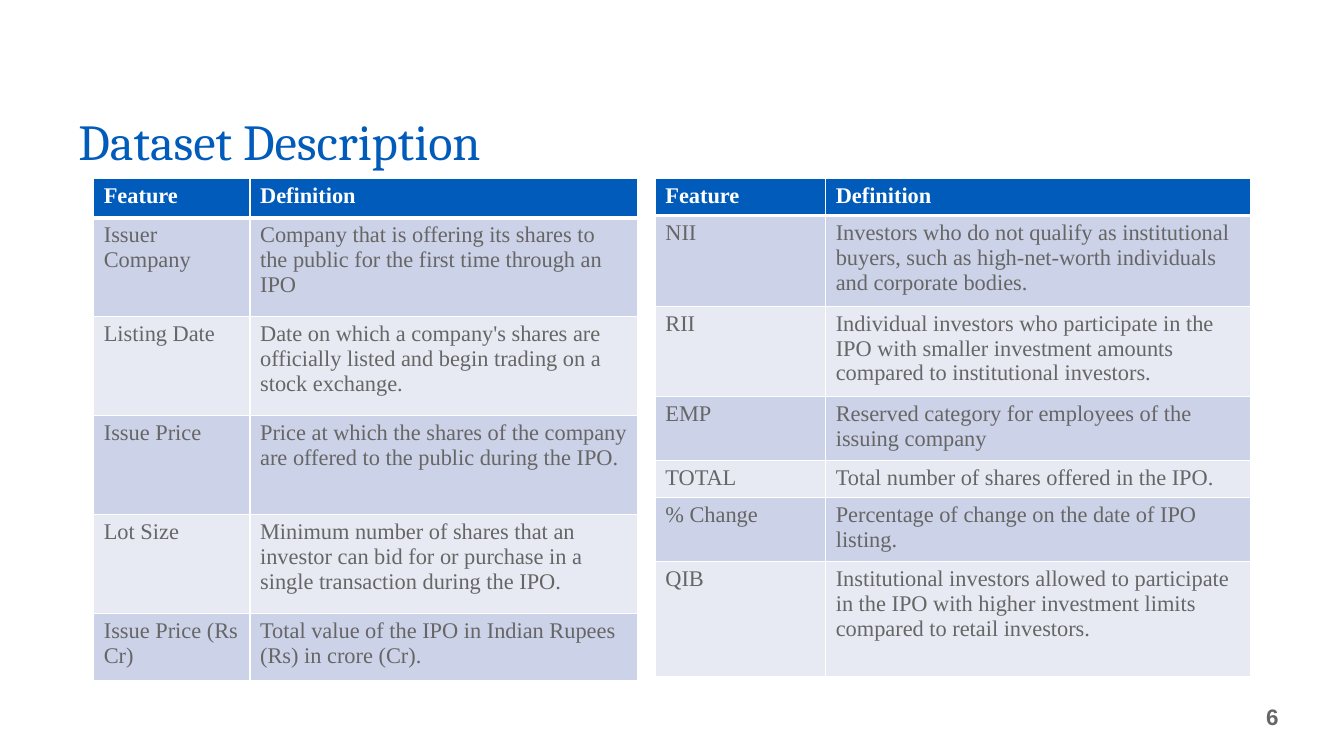
from lxml import etree
from pptx import Presentation
from pptx import util as u
from pptx.dml import color
from pptx.enum import text
from pptx.oxml import ns

COLORS = {
    "blue": "005BBB",
    "gray": "666666",
    "white": "FFFFFF",
    "dark_band": "CCD2E7",
    "light_band": "E7EAF3",
}

HEADER = ("Feature", "Definition")

OFFER_FEATURES = [
    HEADER,
    ("Issuer Company", "Company that is offering its shares to the public for the first time through an IPO"),
    ("Listing Date", "Date on which a company's shares are officially listed and begin trading on a stock exchange."),
    ("Issue Price", "Price at which the shares of the company are offered to the public during the IPO."),
    ("Lot Size", "Minimum number of shares that an investor can bid for or purchase in a single transaction during the IPO."),
    ("Issue Price (Rs Cr)", "Total value of the IPO in Indian Rupees (Rs) in crore (Cr)."),
]

INVESTOR_FEATURES = [
    HEADER,
    ("NII", "Investors who do not qualify as institutional buyers, such as high-net-worth individuals and corporate bodies."),
    ("RII", "Individual investors who participate in the IPO with smaller investment amounts compared to institutional investors."),
    ("EMP", "Reserved category for employees of the issuing company"),
    ("TOTAL", "Total number of shares offered in the IPO."),
    ("% Change", "Percentage of change on the date of IPO listing."),
    ("QIB", "Institutional investors allowed to participate in the IPO with higher investment limits compared to retail investors."),
]


def rgb(name):
    return color.RGBColor.from_string(COLORS[name])


def write_text(frame, content, *, font="Times New Roman", size=16, ink="gray",
               bold=False, align=text.PP_ALIGN.LEFT, spacing=1.0):
    paragraph = frame.paragraphs[0]
    paragraph.alignment = align
    paragraph.line_spacing = spacing
    run = paragraph.add_run()
    run.text = content
    run.font.name = font
    run.font.size = u.Pt(size)
    run.font.bold = bold
    run.font.color.rgb = rgb(ink)


class SlideBuilder:
    GRID_COLUMNS = 100
    GRID_ROWS = 100

    def __init__(self, presentation):
        self.column = presentation.slide_width / self.GRID_COLUMNS
        self.row = presentation.slide_height / self.GRID_ROWS
        self.slide = presentation.slides.add_slide(presentation.slide_layouts[6])

    def across(self, columns):
        return u.Emu(round(columns * self.column))

    def down(self, rows):
        return u.Emu(round(rows * self.row))

    def text_box(self, content, left, top, width, height, anchor, **text_format):
        shape = self.slide.shapes.add_textbox(
            self.across(left), self.down(top), self.across(width), self.down(height))
        shape.text_frame.word_wrap = True
        shape.text_frame.vertical_anchor = anchor
        write_text(shape.text_frame, content, **text_format)

    def cell_borders(self, cell, widths):
        properties = cell._tc.get_or_add_tcPr()
        for side, points in widths.items():
            line = etree.SubElement(properties, ns.qn(f"a:ln{side}"), w=str(u.Pt(points)))
            fill = etree.SubElement(line, ns.qn("a:solidFill"))
            etree.SubElement(fill, ns.qn("a:srgbClr"), val=COLORS["white"])

    def table(self, records, left, top, widths, heights):
        shape = self.slide.shapes.add_table(
            len(records), len(widths), self.across(left), self.down(top),
            self.across(sum(widths)), self.down(sum(heights)))
        table = shape.table
        for column, width in zip(table.columns, widths):
            column.width = self.across(width)
        for index, (record, height) in enumerate(zip(records, heights)):
            table.rows[index].height = self.down(height)
            header = index == 0
            band = "blue" if header else "dark_band" if index % 2 else "light_band"
            for position, content in enumerate(record):
                cell = table.cell(index, position)
                self.cell_borders(cell, {
                    "L": 1, "R": 1, "T": 3 if index == 1 else 1, "B": 3 if header else 1})
                cell.fill.solid()
                cell.fill.fore_color.rgb = rgb(band)
                write_text(cell.text_frame, content, bold=header,
                           ink="white" if header else "gray")


def main():
    presentation = Presentation()
    presentation.slide_width = u.Inches(13.33)
    presentation.slide_height = u.Inches(7.5)
    builder = SlideBuilder(presentation)
    builder.text_box("Dataset Description", 5.1, 14.67, 57, 8.67, text.MSO_ANCHOR.BOTTOM,
                     font="Cambria", size=36, ink="blue", spacing=0.9)
    builder.text_box("6", 62.12, 92.13, 33.75, 5.33, text.MSO_ANCHOR.MIDDLE,
                     font="Arial", bold=True, align=text.PP_ALIGN.RIGHT)
    table_top = 23.6
    builder.table(OFFER_FEATURES, 6.98, table_top, [11.63, 28.8],
                  [5.2] + [13.1] * 4 + [8.8])
    builder.table(INVESTOR_FEATURES, 48.76, table_top, [12.68, 31.58],
                  [4.8, 11.75, 11.75, 8.3, 4.8, 8.3, 15.2])
    presentation.save("out.pptx")


if __name__ == "__main__":
    main()
